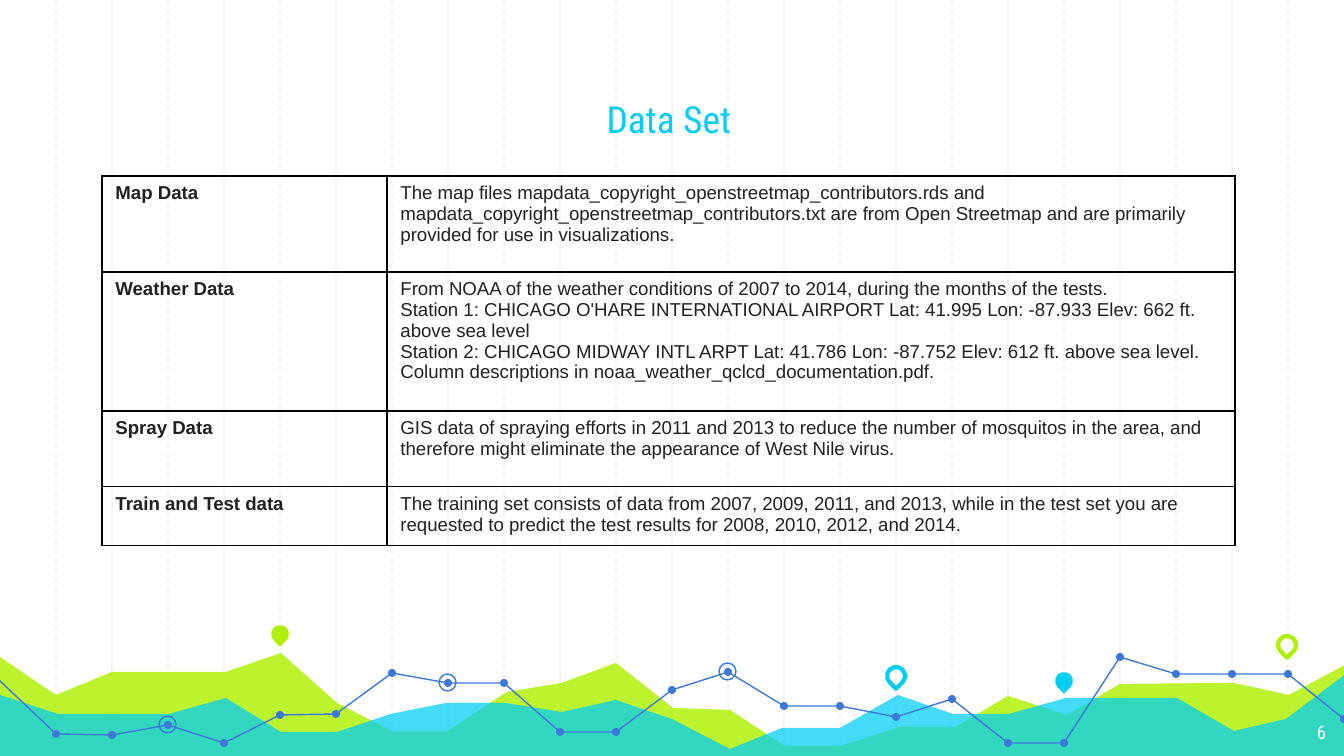
from lxml import etree
from pptx import Presentation
from pptx.dml.color import RGBColor
from pptx.enum.dml import MSO_LINE
from pptx.enum.shapes import MSO_CONNECTOR, MSO_SHAPE
from pptx.enum.text import MSO_ANCHOR, PP_ALIGN
from pptx.oxml.ns import qn
from pptx.util import Pt

PX = 914400 / 134.4  # EMU in one px
DASH, STRAIGHT = MSO_LINE.DASH, MSO_CONNECTOR.STRAIGHT
OVAL, TEARDROP = MSO_SHAPE.OVAL, MSO_SHAPE.TEAR
BOTTOM, CENTER, RIGHT = MSO_ANCHOR.BOTTOM, PP_ALIGN.CENTER, PP_ALIGN.RIGHT

GRID = RGBColor(0xF3, 0xF3, 0xF3)
LIME = RGBColor(0xAF, 0xF0, 0x00)
CYAN = RGBColor(0x00, 0xCE, 0xF6)
BLUE = RGBColor(0x3C, 0x78, 0xD8)
DARK = RGBColor(0x21, 0x21, 0x21)
WHITE = RGBColor(0xFF, 0xFF, 0xFF)


def px(*lengths):
    return [round(n * PX) for n in lengths]


def paint(sp, fill=None, line=None, width=0.75):
    sp.shadow.inherit = False
    for part, color in ((sp.fill, fill), (sp.line.fill, line)):
        if color is None:
            part.background()
        else:
            part.solid()
            part.fore_color.rgb = color
    if line is not None:
        sp.line.width = Pt(width)


prs = Presentation()
prs.slide_width, prs.slide_height = px(1344, 756)
s = prs.slides.add_slide(prs.slide_layouts[5])
shapes = s.shapes

# Vertical grid: solid lines on even steps, dashed on odd ones
STEP = 56
for i in range(1, 24):
    line = shapes.add_connector(STRAIGHT, *px(i * STEP, 0, i * STEP, 759))
    line.line.color.rgb = GRID
    line.line.width = Pt(0.75)
    if i % 2:
        line.line.dash_style = DASH
    etree.SubElement(line._element.spPr, qn("a:effectLst"))

# Translucent areas along the bottom
lime_area = [
    (-3, 655), (56, 695), (112, 672), (226, 672), (281, 653), (337, 703),
    (392, 731), (448, 731), (507, 692), (562, 683), (616, 663), (673, 708),
    (730, 710), (785, 746), (841, 746), (900, 727), (956, 727), (1008, 696),
    (1067, 715), (1120, 684), (1234, 683), (1289, 695), (1347, 664),
    (1346, 758), (-4, 758)]
cyan_area = [
    (-3, 694), (58, 714), (169, 714), (226, 698), (281, 732), (337, 732),
    (391, 714), (446, 703), (505, 703), (562, 712), (616, 700), (672, 719),
    (730, 749), (782, 728), (840, 728), (898, 695), (953, 714), (1009, 714),
    (1066, 698), (1177, 698), (1234, 731), (1286, 719), (1347, 673),
    (1347, 759), (-4, 759)]
for points, color, alpha in ((lime_area, LIME, 82), (cyan_area, CYAN, 73)):
    builder = shapes.build_freeform(*points[0], scale=PX)
    builder.add_line_segments(points[1:], close=True)
    area = builder.convert_to_shape()
    paint(area, fill=color)
    rgb = area._element.spPr.find(".//" + qn("a:srgbClr"))
    etree.SubElement(rgb, qn("a:alpha"), val=str(alpha * 1000))

# Line with a dot on every grid step
heights = [734, 735, 725, 743, 715, 714, 673, 683, 683, 732, 732, 690,
           672, 706, 706, 717, 699, 743, 743, 657, 674, 674, 674, 719]
dots = [(i * STEP, y) for i, y in enumerate(heights, 1)]
builder = shapes.build_freeform(-1, 680, scale=PX)
builder.add_line_segments(dots, close=False)
paint(builder.convert_to_shape(), line=BLUE)
for x, y in dots:
    paint(shapes.add_shape(OVAL, *px(x - 4, y - 4, 8, 8)), fill=BLUE)

# Rings around three of the dots
for i in (3, 8, 13):
    x, y = dots[i - 1]
    paint(shapes.add_shape(OVAL, *px(x - 9, y - 9, 17, 17)), line=BLUE)

# Map pins
for x, y, fill, outline in ((280, 634, LIME, None), (896, 676, None, CYAN),
                            (1064, 681, CYAN, None), (1287, 645, None, LIME)):
    pin = shapes.add_shape(TEARDROP, *px(x - 9, y - 9, 18, 18))
    pin.rotation = 135
    paint(pin, fill, outline, 2.25)

# Title, brought in front of the grid
title = shapes.title
shapes._spTree.append(title._element)
title.left, title.top, title.width, title.height = px(155, 93, 1028, 105)
number = shapes.add_textbox(*px(1258, 710, 81, 47))

# Title and slide number text
for sp, text, align, size, color in ((title, "Data Set", CENTER, 20, CYAN),
                                     (number, "6", RIGHT, 10, WHITE)):
    tf = sp.text_frame
    inset, = px(13)
    for name, value in {"word_wrap": True, "margin_left": inset,
                        "margin_right": inset, "margin_top": inset,
                        "margin_bottom": inset}.items():
        setattr(tf, name, value)
    p = tf.paragraphs[0]
    p.alignment = align
    r = p.add_run()
    r.text = text
    for name, value in {"name": "Roboto Condensed", "size": Pt(size)}.items():
        setattr(r.font, name, value)
    r.font.color.rgb = color
title.text_frame.vertical_anchor = BOTTOM
title.text_frame.margin_bottom, = px(57)

# Data set table: row height, name, lines of description
rows = [
    (96, "Map Data", [
        "The map files mapdata_copyright_openstreetmap_contributors.rds and "
        "mapdata_copyright_openstreetmap_contributors.txt are from Open "
        "Streetmap and are primarily provided for use in visualizations."]),
    (139, "Weather Data", [
        "From NOAA of the weather conditions of 2007 to 2014, during the "
        "months of the tests.",
        "Station 1: CHICAGO O'HARE INTERNATIONAL AIRPORT Lat: 41.995 "
        "Lon: -87.933 Elev: 662 ft. above sea level",
        "Station 2: CHICAGO MIDWAY INTL ARPT Lat: 41.786 Lon: -87.752 "
        "Elev: 612 ft. above sea level.",
        "Column descriptions in noaa_weather_qclcd_documentation.pdf."]),
    (76, "Spray Data", [
        "GIS data of spraying efforts in 2011 and 2013 to reduce the number "
        "of mosquitos in the area, and therefore might eliminate the "
        "appearance of West Nile virus."]),
    (55, "Train and Test data", [
        "The training set consists of data from 2007, 2009, 2011, and 2013, "
        "while in the test set you are requested to predict the test results "
        "for 2008, 2010, 2012, and 2014."]),
]
table = shapes.add_table(len(rows), 2, *px(102, 176, 1133, 366)).table
table.first_row = table.horz_banding = False
for column, width in zip(table.columns, px(285, 848)):
    column.width = width
for i, (height, name, lines) in enumerate(rows):
    table.rows[i].height, = px(height)
    for j, texts in enumerate(([name], lines)):
        cell = table.cell(i, j)
        cell.fill.background()
        tcPr = cell._tc.get_or_add_tcPr()
        for k, side in enumerate(("lnL", "lnR", "lnT", "lnB")):
            border = etree.Element(qn("a:" + side), w=str(Pt(0.75)))
            solid = etree.SubElement(border, qn("a:solidFill"))
            etree.SubElement(solid, qn("a:srgbClr"), val="000000")
            tcPr.insert(k, border)
        tf = cell.text_frame
        for n, text in enumerate(texts):
            p = tf.add_paragraph() if n else tf.paragraphs[0]
            r = p.add_run()
            r.text = text
            for attr, value in {"name": "Arial", "size": Pt(10),
                                "bold": j == 0}.items():
                setattr(r.font, attr, value)
            r.font.color.rgb = DARK

prs.save("out.pptx")
